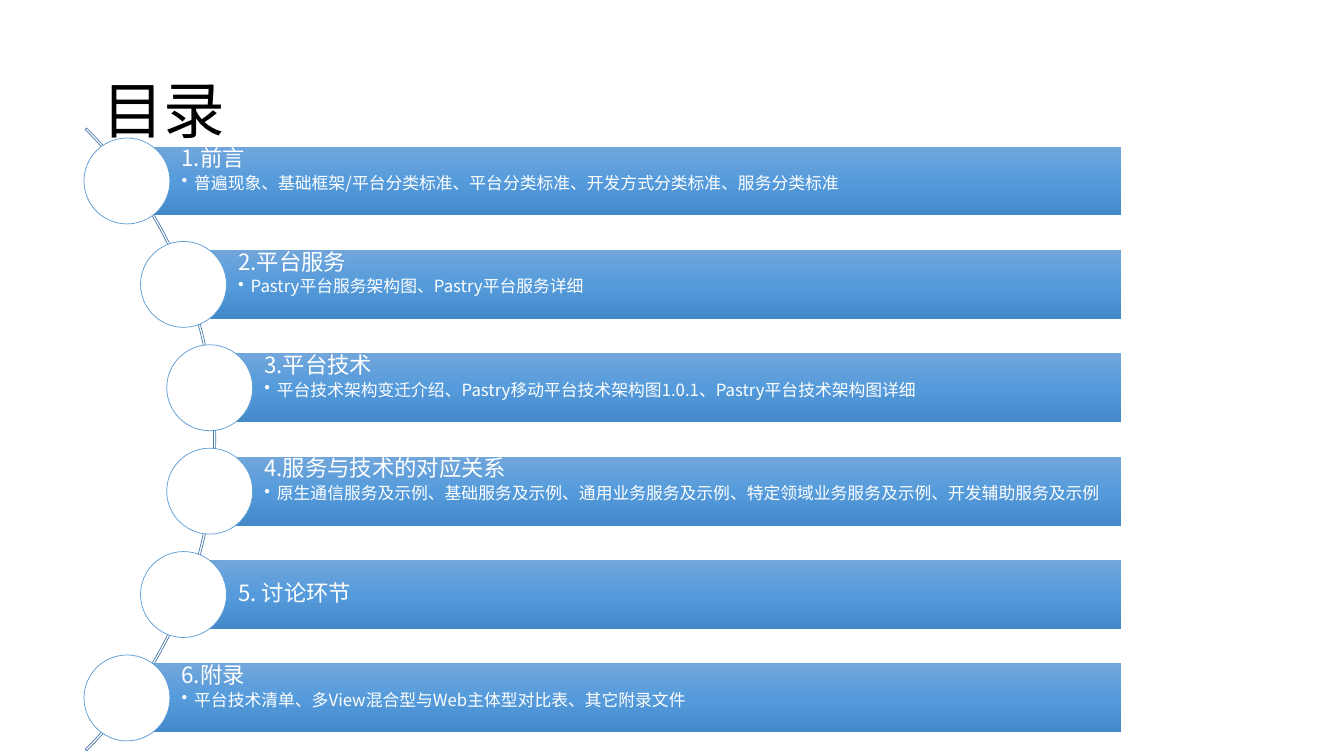
from copy import deepcopy

from lxml import etree
from pptx import Presentation
from pptx.dml.color import RGBColor
from pptx.enum import shapes, text
from pptx.oxml import ns
from pptx.util import Pt

FONT = "Noto Sans CJK SC"
COLORS = {
    "title": "000000", "white": "FFFFFF", "ring": "5B9BD5", "arc": "497CAB",
    "bar_top": "71A6DB", "bar_middle": "559BDB", "bar_bottom": "448ACA",
}
FIRST_CENTER, PITCH = 129.3, 73.85
BAR_RIGHT, BAR_HEIGHT, CIRCLE = 800.8, 49.2, 61.4
ARC_LEFT, ARC_SIZE = -475.2, 629.3

# Left edge of each bar, heading, detail line
CHAPTERS = [
    (90.7, "1.前言", "普遍现象、基础框架/平台分类标准、平台分类标准、开发方式分类标准、服务分类标准"),
    (131.1, "2.平台服务", "Pastry平台服务架构图、Pastry平台服务详细"),
    (149.8, "3.平台技术", "平台技术架构变迁介绍、Pastry移动平台技术架构图1.0.1、Pastry平台技术架构图详细"),
    (149.8, "4.服务与技术的对应关系",
     "原生通信服务及示例、基础服务及示例、通用业务服务及示例、特定领域业务服务及示例、开发辅助服务及示例"),
    (131.1, "5. 讨论环节", ""),
    (90.7, "6.附录", "平台技术清单、多View混合型与Web主体型对比表、其它附录文件"),
]


def write(p, words, size, color="white", after=0, bullet=False):
    """Fill paragraph p with one formatted run."""
    p.alignment = text.PP_ALIGN.LEFT
    p.line_spacing = 0.9
    p.space_after = Pt(after)
    if bullet:
        p.level = 1
        pPr = p._p.get_or_add_pPr()
        pPr.set("marL", str(Pt(9)))
        pPr.set("indent", str(-Pt(9)))
        etree.SubElement(pPr, ns.qn("a:buChar"), char="•")
    r = p.add_run()
    r.text = words
    r.font.size = Pt(size)
    r.font.name = FONT
    r.font.color.rgb = RGBColor.from_string(COLORS[color])
    etree.SubElement(r._r.get_or_add_rPr(), ns.qn("a:ea"), typeface=FONT)


def add_shape(kind, left, top, width, height, line=None):
    sp = s.shapes.add_shape(kind, Pt(left), Pt(top), Pt(width), Pt(height))
    sp.shadow.inherit = False
    if line:
        sp.line.color.rgb = RGBColor.from_string(COLORS[line])
        sp.line.width = Pt(0.5)
    else:
        sp.line.fill.background()
    return sp


prs = Presentation()
prs.slide_width, prs.slide_height = Pt(960), Pt(540)
s = prs.slides.add_slide(prs.slide_layouts[6])

title = s.shapes.add_textbox(Pt(66), Pt(28.8), Pt(828), Pt(104.4))
tf = title.text_frame
tf.word_wrap = True
tf.vertical_anchor = text.MSO_ANCHOR.MIDDLE
write(tf.paragraphs[0], "目录", 44, "title")

middle = FIRST_CENTER + PITCH * (len(CHAPTERS) - 1) / 2
arc = add_shape(shapes.MSO_SHAPE.BLOCK_ARC, ARC_LEFT, middle - ARC_SIZE / 2,
                ARC_SIZE, ARC_SIZE, "arc")
arc.fill.background()
for i, value in enumerate((189, 27, 0.0025)):
    arc.adjustments[i] = value

for row, (left, heading, detail) in enumerate(CHAPTERS):
    center = FIRST_CENTER + row * PITCH
    bar = add_shape(shapes.MSO_SHAPE.RECTANGLE, left, center - BAR_HEIGHT / 2,
                    BAR_RIGHT - left, BAR_HEIGHT)
    bar.fill.gradient()
    bar.fill.gradient_angle = 270
    stop_list = bar._element.spPr.find(".//" + ns.qn("a:gsLst"))
    stop_list.insert(1, deepcopy(stop_list[0]))
    stops = zip(bar.fill.gradient_stops, (0, 0.5, 1), ("bar_top", "bar_middle", "bar_bottom"))
    for stop, position, color in stops:
        stop.position = position
        stop.color.rgb = RGBColor.from_string(COLORS[color])

    tf = bar.text_frame
    tf.word_wrap = True
    tf.margin_left, tf.margin_right = Pt(39), Pt(3)
    tf.margin_top = tf.margin_bottom = Pt(0.6)
    tf.vertical_anchor = text.MSO_ANCHOR.TOP if detail else text.MSO_ANCHOR.MIDDLE
    write(tf.paragraphs[0], heading, 16, after=2.4)
    if detail:
        write(tf.add_paragraph(), detail, 12, bullet=True)

    circle = add_shape(shapes.MSO_SHAPE.OVAL, left - CIRCLE / 2, center - CIRCLE / 2,
                       CIRCLE, CIRCLE, "ring")
    circle.fill.solid()
    circle.fill.fore_color.rgb = RGBColor.from_string(COLORS["white"])

prs.save("out.pptx")
